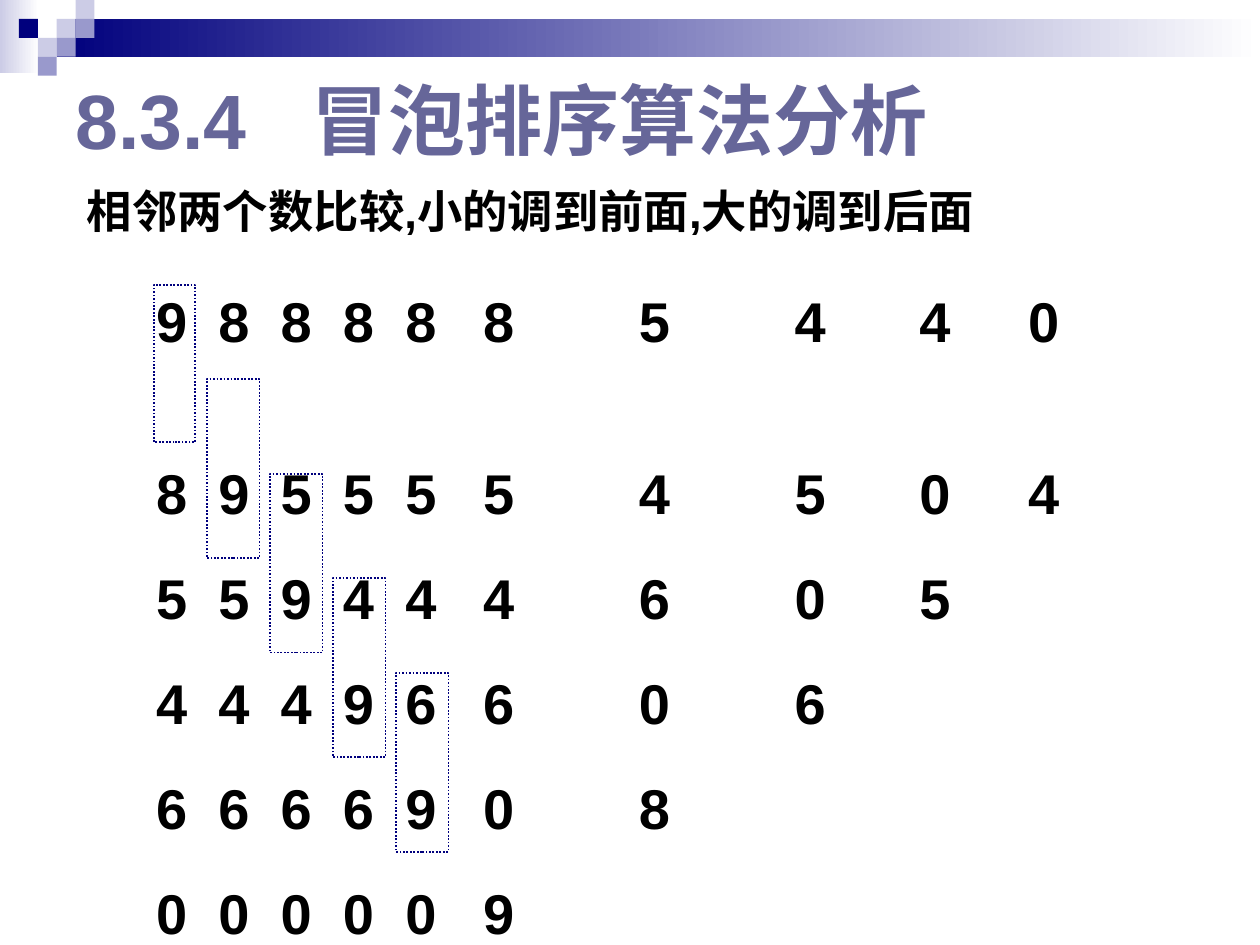
from itertools import accumulate

from lxml import etree
from pptx import Presentation
from pptx import util as u
from pptx.dml.color import RGBColor
from pptx.enum import dml, shapes, text
from pptx.oxml.ns import qn

FONT = "Arial"
NAVY, LILAC, VIOLET, WHITE = "00007D", "CCCCE6", "9999CC", "FFFFFF"
TITLE_COLOR, BLACK = "666699", "000000"

TITLE = "8.3.4\t冒泡排序算法分析"
RULE = "相邻两个数比较,小的调到前面,大的调到后面"
ROWS = ["9888885440", "8955554504", "559444605", "44496606", "6666908", "000009"]
COLUMN_GAPS = [4, 4, 4, 4, 5, 10, 10, 8, 7]  # in widths of one space
SPACE_WIDTH = u.Pt(8.9)


def color(hex_string):
    return RGBColor.from_string(hex_string)


def add_rectangle(slide, left, top, width, height):
    shape = slide.shapes.add_shape(
        shapes.MSO_SHAPE.RECTANGLE,
        u.Inches(left), u.Inches(top), u.Inches(width), u.Inches(height))
    shape.shadow.inherit = False
    shape.fill.background()
    shape.line.fill.background()
    return shape


def place(shape, left, top, width, height):
    shape.left, shape.top = u.Inches(left), u.Inches(top)
    shape.width, shape.height = u.Inches(width), u.Inches(height)


def add_tabs(paragraph, positions):
    tab_list = etree.SubElement(paragraph._p.get_or_add_pPr(), qn("a:tabLst"))
    for position in positions:
        etree.SubElement(tab_list, qn("a:tab"), pos=str(int(position)), algn="l")


def add_run(paragraph, wording, size, hex_string):
    run = paragraph.add_run()
    run.text = wording
    run.font.name = FONT
    run.font.size = u.Pt(size)
    run.font.bold = True
    run.font.color.rgb = color(hex_string)


def add_gradient_bar(slide, box, start):
    bar = add_rectangle(slide, *box)
    bar.fill.gradient()
    bar.fill.gradient_angle = 0
    for stop, hex_string in zip(bar.fill.gradient_stops, (start, WHITE)):
        stop.color.rgb = color(hex_string)


def add_header(slide, left, top, unit):
    # Fading bars
    add_gradient_bar(slide, (left, top, 0.31, 0.58), LILAC)
    add_gradient_bar(slide, (left + 3 * unit, top + unit, 9.55, 2 * unit), NAVY)
    # Mosaic of small squares, by column and row
    mosaic = {(3, 1): LILAC, (4, 0): LILAC, (4, 1): VIOLET, (2, 2): LILAC,
              (1, 1): NAVY, (3, 2): VIOLET, (2, 3): VIOLET}
    for (column, row), hex_string in mosaic.items():
        square = add_rectangle(
            slide, left + column * unit, top + row * unit, unit, unit)
        square.fill.solid()
        square.fill.fore_color.rgb = color(hex_string)


def fill_title(title, box):
    place(title, *box)
    title.text_frame.auto_size = text.MSO_AUTO_SIZE.NONE
    title.text_frame.vertical_anchor = text.MSO_ANCHOR.MIDDLE
    paragraph = title.text_frame.paragraphs[0]
    paragraph.alignment = text.PP_ALIGN.LEFT
    add_tabs(paragraph, [u.Inches(1.87)])
    add_run(paragraph, TITLE, 44, TITLE_COLOR)


def fill_body(body, box):
    place(body, *box)
    body.text_frame.auto_size = text.MSO_AUTO_SIZE.NONE
    paragraph = body.text_frame.paragraphs[0]
    properties = paragraph._p.get_or_add_pPr()
    properties.set("marL", str(u.Inches(0.38)))
    properties.set("indent", str(-u.Inches(0.38)))
    etree.SubElement(properties, qn("a:buNone"))
    paragraph.space_before = u.Pt(0)
    add_run(paragraph, RULE, 25.9, BLACK)


def add_number_rows(slide, left, top, width, height):
    box = slide.shapes.add_textbox(
        u.Inches(left), u.Inches(top), u.Inches(width), u.Inches(height))
    frame = box.text_frame
    frame.word_wrap = True
    frame.margin_top = u.Inches(0.09)
    stops = [units * SPACE_WIDTH for units in accumulate(COLUMN_GAPS)]
    # The starting row stands further apart from the rows below it
    spacing = [0, 60] + [21.6] * (len(ROWS) - 2)
    for index, (digits, before) in enumerate(zip(ROWS, spacing)):
        paragraph = frame.add_paragraph() if index else frame.paragraphs[0]
        add_tabs(paragraph, stops)
        paragraph.space_before = u.Pt(before)
        add_run(paragraph, "\t".join(digits), 32, BLACK)


def add_comparison_frames(slide, left, top):
    # Each dotted frame marks the pair being compared
    frames = [(left, top, 0.33, 1.25)]
    frames += [(left + 0.42 + 0.5 * step, top + drop, 0.42, 1.42)
               for step, drop in enumerate((0.75, 1.5, 2.33, 3.08))]
    for box in frames:
        frame = add_rectangle(slide, *box)
        frame.line.color.rgb = color(NAVY)
        frame.line.width = u.Pt(1)
        frame.line.dash_style = dml.MSO_LINE.ROUND_DOT


def main():
    presentation = Presentation()
    presentation.slide_width = u.Inches(10)
    presentation.slide_height = u.Inches(7.5)
    slide = presentation.slides.add_slide(presentation.slide_layouts[1])
    add_header(slide, 0, 0, 0.15)
    fill_title(slide.shapes.title, (0.5, 0.5, 9, 0.89))
    fill_body(slide.placeholders[1], (0.59, 1.4, 7.89, 0.62))
    add_number_rows(slide, 1.14, 2.18, 7.42, 5.22)
    add_comparison_frames(slide, 1.22, 2.26)
    presentation.save("out.pptx")


if __name__ == "__main__":
    main()
